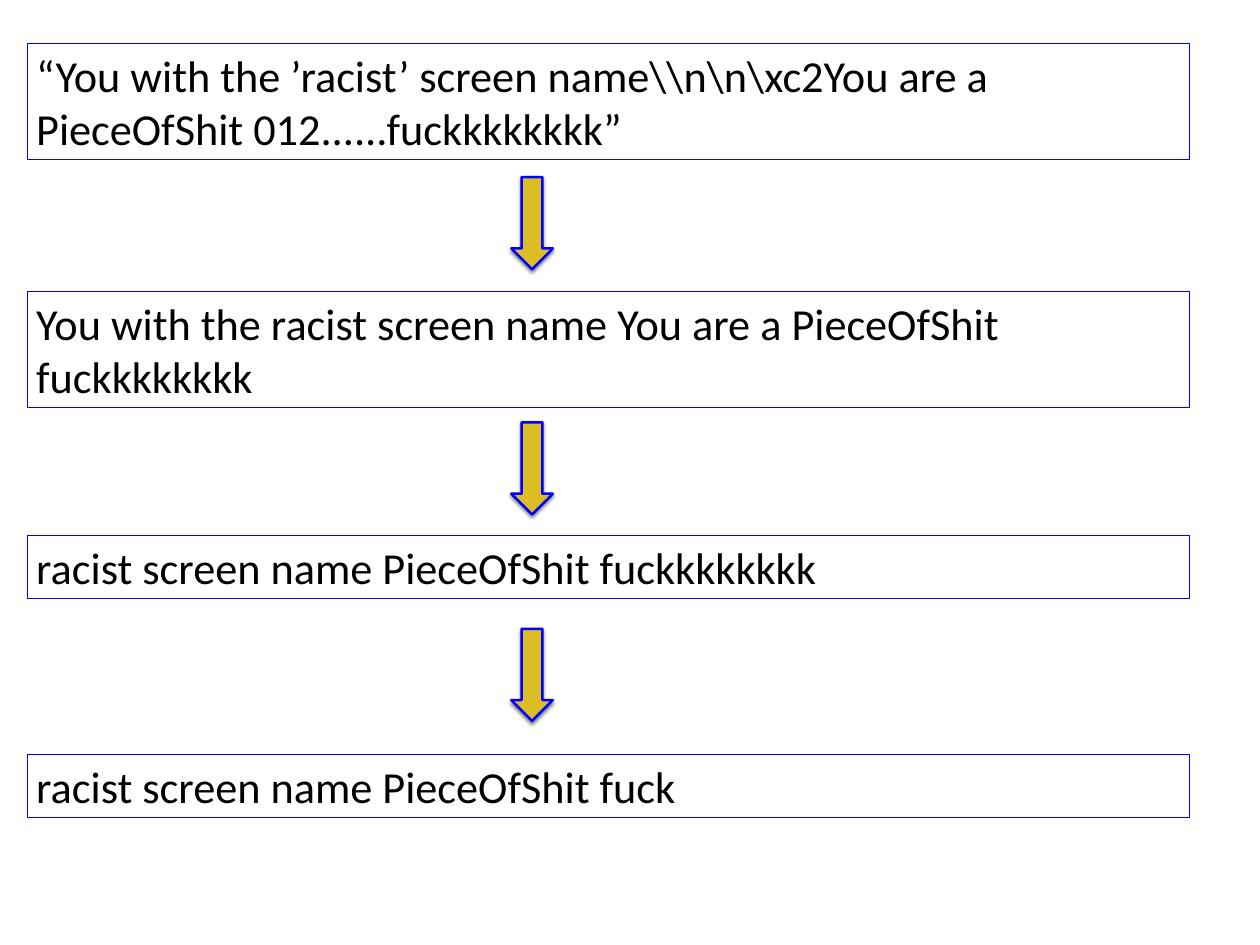
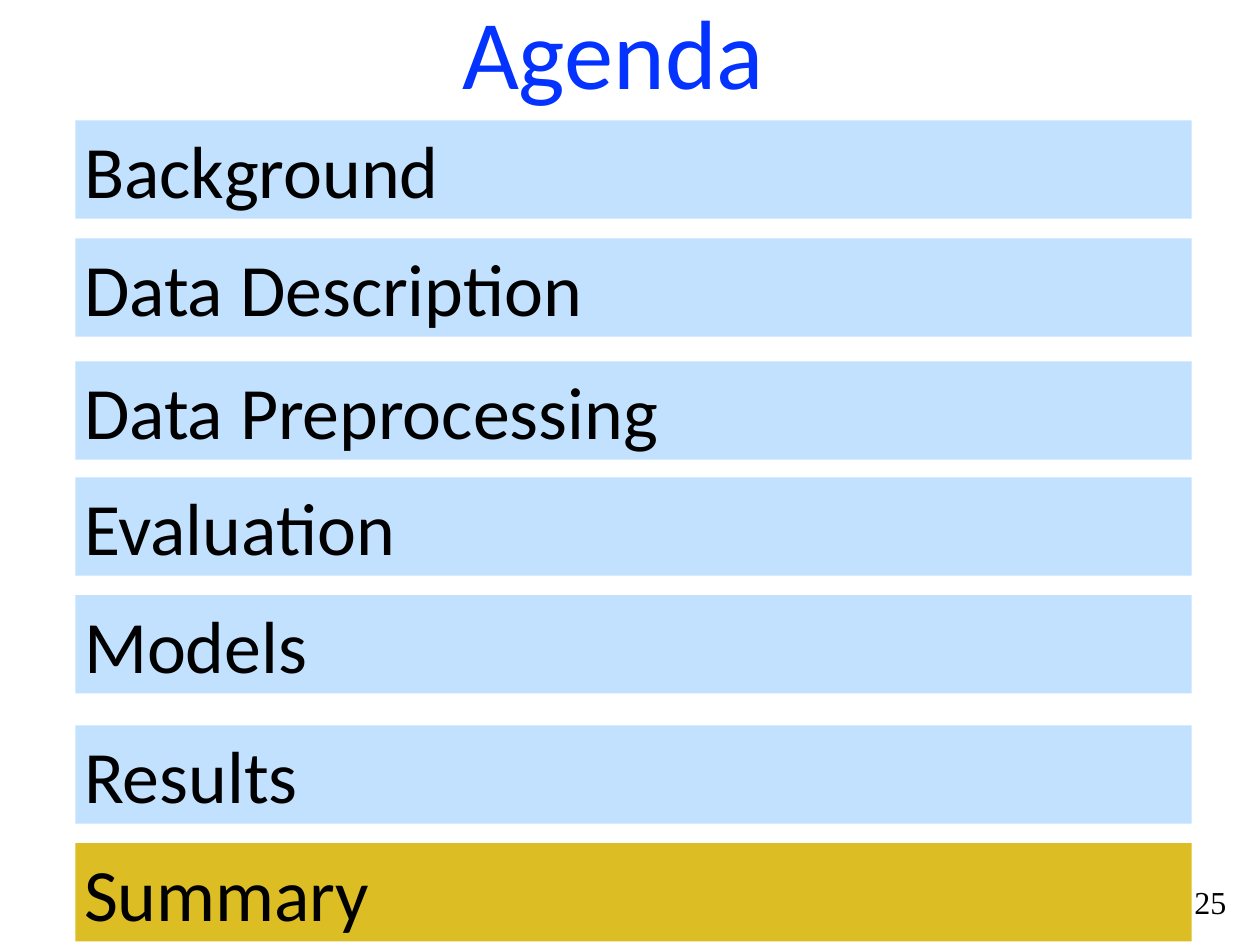
import pptx
import pptx.util
import pptx.dml.color
import pptx.enum.shapes
import pptx.enum.text
import pptx.oxml.ns
from lxml import etree

SHAPE = pptx.enum.shapes.MSO_SHAPE
ALIGN = pptx.enum.text.PP_ALIGN
ANCHOR = pptx.enum.text.MSO_ANCHOR
AUTO_SIZE = pptx.enum.text.MSO_AUTO_SIZE
Inches = pptx.util.Inches

WIDTH, HEIGHT = 14.22, 10.67
TITLE_ONLY, BLANK = 5, 6
BLACK, BLUE, TITLE_BLUE = "000000", "0000FF", "0433FF"
PALE_BLUE, GOLD = "C1E1FE", "DCBD23"

# Cleaning steps: text, top, height
STEPS = [
    (r"“You with the ’racist’ screen name\\n\n\xc2You are a PieceOfShit 012......fuckkkkkkkk”", 0.49, 1.31),
    ("You with the racist screen name You are a PieceOfShit fuckkkkkkkk", 3.29, 1.31),
    ("racist screen name PieceOfShit fuckkkkkkkk", 6.05, 0.71),
    ("racist screen name PieceOfShit fuck", 8.52, 0.71),
]
STEP_LEFT, STEP_WIDTH = 0.31, 13.11
ARROW_TOPS = [2, 4.77, 7.1]
ARROW_LEFT, ARROW_WIDTH, ARROW_HEIGHT = 5.77, 0.47, 1.04

# Agenda bars: text, top
AGENDA = [
    ("Background", 1.36),
    ("Data Description", 2.69),
    ("Data Preprocessing", 4.08),
    ("Evaluation", 5.39),
    ("Models", 6.72),
    ("Results", 8.19),
    ("Summary", 9.52),
]
CURRENT = "Summary"
BAR_LEFT, BAR_WIDTH, BAR_HEIGHT = 0.85, 12.6, 1.11
PAGE_NUMBER = "25"


def color(value):
    return pptx.dml.color.RGBColor.from_string(value)


def write(shape, text, size, font="Calibri", ink=BLACK, align=ALIGN.LEFT,
          anchor=ANCHOR.TOP, inset=None, wrap=True, grow=True):
    frame = shape.text_frame
    frame.word_wrap = wrap
    frame.auto_size = AUTO_SIZE.SHAPE_TO_FIT_TEXT if grow else AUTO_SIZE.NONE
    frame.vertical_anchor = anchor
    if inset is not None:
        frame.margin_left = frame.margin_right = Inches(inset)
        frame.margin_top = frame.margin_bottom = Inches(inset)
    para = frame.paragraphs[0]
    para.alignment = align
    span = para.add_run()
    span.text = text
    span.font.name = font
    span.font.size = pptx.util.Pt(size)
    span.font.color.rgb = color(ink)


def add_box(page, place, kind=SHAPE.RECTANGLE, fill=None, line=None, weight=0.75):
    box = page.shapes.add_shape(kind, *map(Inches, place))
    box.shadow.inherit = False
    if fill:
        box.fill.solid()
        box.fill.fore_color.rgb = color(fill)
    else:
        box.fill.background()
    if line:
        box.line.color.rgb = color(line)
        box.line.width = pptx.util.Pt(weight)
    else:
        box.line.fill.background()
    return box


def drop_shadow(shape, blur=3, distance=2, angle=90, opacity=50):
    """Cast a black shadow; lengths are points, opacity is percent."""
    qn = pptx.oxml.ns.qn
    effects = shape.element.spPr.find(qn("a:effectLst"))
    shadow = etree.SubElement(
        effects, qn("a:outerShdw"), blurRad=str(pptx.util.Pt(blur)),
        dist=str(pptx.util.Pt(distance)), dir=str(angle * 60000), rotWithShape="0")
    ink = etree.SubElement(shadow, qn("a:srgbClr"), val=BLACK)
    etree.SubElement(ink, qn("a:alpha"), val=str(opacity * 1000))


def build_cleaning(deck):
    page = deck.slides.add_slide(deck.slide_layouts[BLANK])
    for text, top, height in STEPS:
        box = add_box(page, (STEP_LEFT, top, STEP_WIDTH, height), line=BLUE)
        write(box, text, 36)
    for top in ARROW_TOPS:
        arrow = add_box(page, (ARROW_LEFT, top, ARROW_WIDTH, ARROW_HEIGHT),
                        SHAPE.DOWN_ARROW, fill=GOLD, line=BLUE, weight=2)
        drop_shadow(arrow)


def build_agenda(deck):
    page = deck.slides.add_slide(deck.slide_layouts[TITLE_ONLY])
    title = page.shapes.title
    title.left, title.top, title.width, title.height = map(Inches, (BAR_LEFT, -0.61, 12.14, 2.36))
    write(title, "Agenda", 80, ink=TITLE_BLUE, align=ALIGN.CENTER,
          anchor=ANCHOR.MIDDLE, inset=0, grow=False)
    for text, top in AGENDA:
        bar = add_box(page, (BAR_LEFT, top, BAR_WIDTH, BAR_HEIGHT),
                      fill=GOLD if text == CURRENT else PALE_BLUE)
        write(bar, text, 60)
    number = page.shapes.add_textbox(*map(Inches, (BAR_LEFT + BAR_WIDTH, 9.97, 0.42, 0.43)))
    write(number, PAGE_NUMBER, 26, font="Times New Roman", align=ALIGN.CENTER,
          inset=0, wrap=False)


def main():
    deck = pptx.Presentation()
    deck.slide_width, deck.slide_height = Inches(WIDTH), Inches(HEIGHT)
    build_cleaning(deck)
    build_agenda(deck)
    deck.save("out.pptx")


if __name__ == "__main__":
    main()
